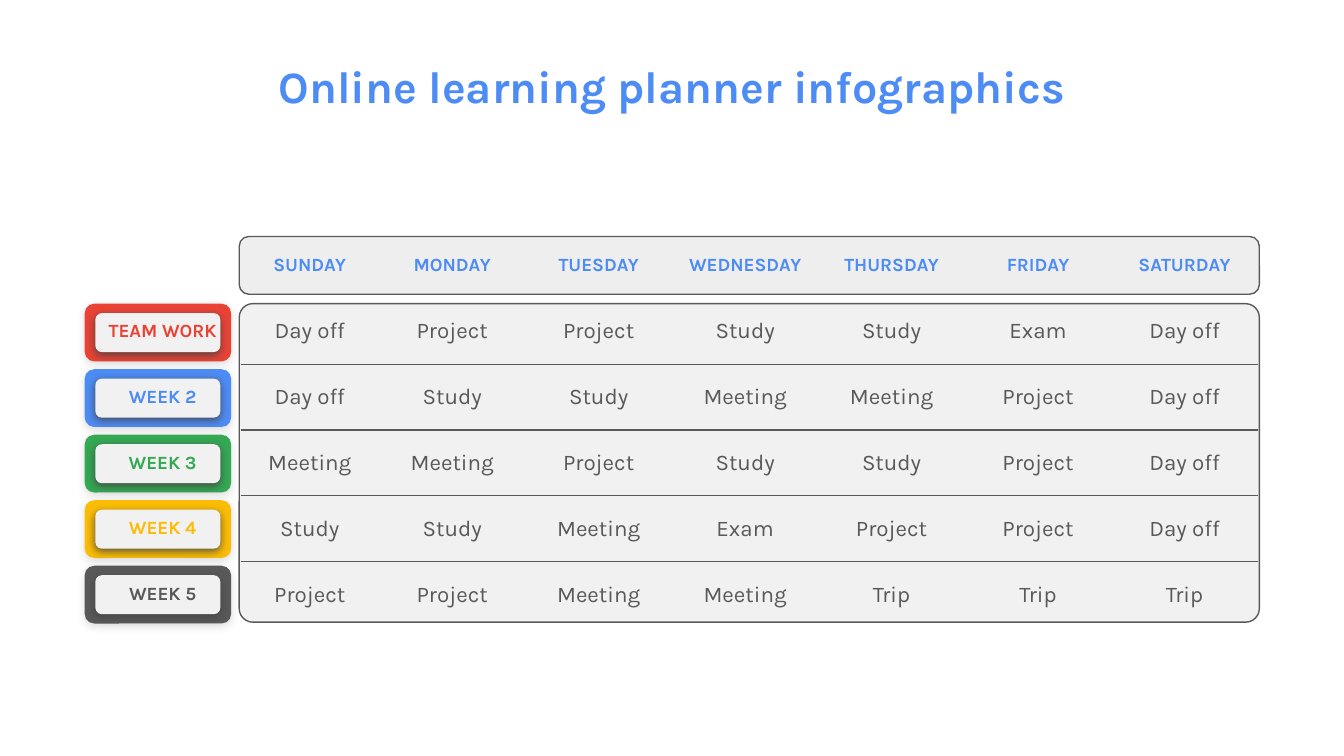
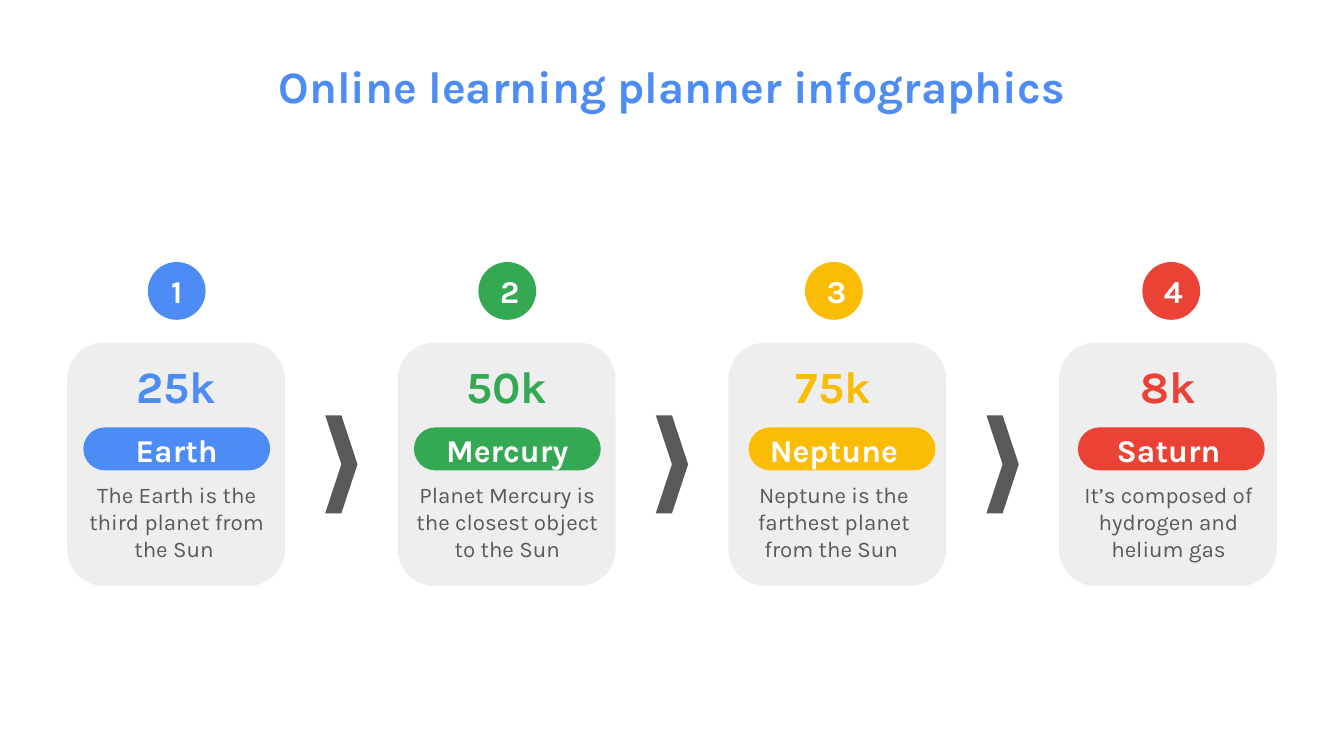
"""Build two online learning planner slides: a weekly timetable and a four-step planet row."""
from lxml.etree import SubElement
from pptx import Presentation
from pptx.dml.color import RGBColor
from pptx.enum.shapes import MSO_SHAPE
from pptx.enum.text import MSO_ANCHOR, PP_ALIGN
from pptx.oxml import parse_xml
from pptx.oxml.ns import nsdecls, qn
from pptx.util import Inches, Pt

COLORS = {
    "blue": "4D8CF5",
    "green": "34A853",
    "yellow": "FBBC05",
    "red": "EA4335",
    "dark": "595959",
    "card": "EEEEEE",
    "panel": "F1F1F1",
    "white": "FFFFFF",
    "soft_shadow": "D9D9D9",
    "deep_shadow": "434343",
}
FONT = "Karla"
TITLE = "Online learning planner infographics"


def add_block(page, kind, left, top, width, height, fill, corner=None, line=None, shadow=None):
    block = page.shapes.add_shape(kind, Inches(left), Inches(top), Inches(width), Inches(height))
    block.shadow.inherit = False
    block.fill.solid()
    block.fill.fore_color.rgb = RGBColor.from_string(COLORS[fill])
    if corner is not None:
        block.adjustments[0] = corner
    if line:
        block.line.color.rgb = RGBColor.from_string(COLORS[line])
        block.line.width = Pt(0.75)
    else:
        block.line.fill.background()
    if shadow:
        effects = block._element.spPr.find(qn("a:effectLst"))
        effects.append(parse_xml(
            f'<a:outerShdw {nsdecls("a")} blurRad="{Pt(4.5)}" dist="{Pt(1.5)}" dir="5400000" '
            f'algn="bl" rotWithShape="0"><a:srgbClr val="{COLORS[shadow]}">'
            '<a:alpha val="83000"/></a:srgbClr></a:outerShdw>'))
    return block


def write_text(frame, area, text, size, color, bold=True, anchor=MSO_ANCHOR.MIDDLE):
    area.margin_left = area.margin_right = Inches(0.1)
    area.margin_top = area.margin_bottom = Inches(0.1)
    area.vertical_anchor = anchor
    frame.word_wrap = True
    frame.text = text
    paragraph = frame.paragraphs[0]
    paragraph.alignment = PP_ALIGN.CENTER
    for span in paragraph.runs:
        span.font.name = FONT
        span.font.size = Pt(size)
        span.font.bold = bold
        span.font.color.rgb = RGBColor.from_string(COLORS[color])


deck = Presentation()
deck.slide_width = Inches(10)
deck.slide_height = deck.slide_width * 9 // 16
pages = [deck.slides.add_slide(deck.slide_layouts[6]) for _ in range(2)]
for page in pages:
    box = page.shapes.add_textbox(Inches(0.2), Inches(0.34), Inches(9.6), Inches(0.63))
    write_text(box.text_frame, box.text_frame, TITLE, 24, "blue", anchor=MSO_ANCHOR.TOP)

planner, steps = pages

add_block(planner, MSO_SHAPE.ROUNDED_RECTANGLE, 1.78, 1.76, 7.59, 0.43, "card", 0.167, "dark")
add_block(planner, MSO_SHAPE.ROUNDED_RECTANGLE, 1.78, 2.26, 7.59, 2.37, "panel", 0.043, "dark")

week_colors = ["red", "blue", "green", "yellow", "dark"]
week_step = 1.95 / 4
for index, color in enumerate(week_colors):
    top = 2.26 + index * week_step
    add_block(planner, MSO_SHAPE.ROUNDED_RECTANGLE, 0.63, top, 1.09, 0.43, color, 0.167,
              shadow="soft_shadow")
    add_block(planner, MSO_SHAPE.ROUNDED_RECTANGLE, 0.71, top + 0.07, 0.93, 0.29, "panel", 0.167,
              shadow="deep_shadow")

schedule = [
    ["", "SUNDAY", "MONDAY", "TUESDAY", "WEDNESDAY", "THURSDAY", "FRIDAY", "SATURDAY"],
    ["TEAM WORK", "Day off", "Project", "Project", "Study", "Study", "Exam", "Day off"],
    ["WEEK 2", "Day off", "Study", "Study", "Meeting", "Meeting", "Project", "Day off"],
    ["WEEK 3", "Meeting", "Meeting", "Project", "Study", "Study", "Project", "Day off"],
    ["WEEK 4", "Study", "Study", "Meeting", "Exam", "Project", "Project", "Day off"],
    ["WEEK 5", "Project", "Project", "Meeting", "Meeting", "Trip", "Trip", "Trip"],
]
column_widths = [1.16, 1.03] + [1.09] * 6
row_height = 0.49
table = planner.shapes.add_table(
    len(schedule), len(column_widths), Inches(0.63), Inches(1.73),
    Inches(sum(column_widths)), Inches(row_height * len(schedule))).table
table.first_row = table.horz_banding = False
for column, width in zip(table.columns, column_widths):
    column.width = Inches(width)
for row in table.rows:
    row.height = Inches(row_height)

last_row = len(schedule) - 1
for row_index, entries in enumerate(schedule):
    for column_index, entry in enumerate(entries):
        cell = table.cell(row_index, column_index)
        ruled = {
            "lnT": column_index > 0 and row_index > 1,
            "lnB": column_index > 0 and 0 < row_index < last_row,
        }
        properties = cell._tc.get_or_add_tcPr()
        for side in ("lnL", "lnR", "lnT", "lnB"):
            border = SubElement(properties, qn(f"a:{side}"), w=str(Pt(0.75)))
            if ruled.get(side):
                fill = SubElement(border, qn("a:solidFill"))
                SubElement(fill, qn("a:srgbClr"), val=COLORS["dark"])
            else:
                SubElement(border, qn("a:noFill"))
        cell.fill.background()
        if not entry:
            continue
        if row_index == 0:
            write_text(cell.text_frame, cell, entry, 10, "blue")
        elif column_index == 0:
            write_text(cell.text_frame, cell, entry, 10, week_colors[row_index - 1])
        else:
            write_text(cell.text_frame, cell, entry, 12, "dark", bold=False)

planets = [
    ("Earth", "25k", "The Earth is the third planet from the Sun ", "blue", 0, 0.62, 1.1),
    ("Mercury", "50k", "Planet Mercury is the closest object to the Sun", "green", 0, 3.08, 3.56),
    ("Neptune", "75k", "Neptune is the farthest planet from the Sun ", "yellow", -0.03, 5.57, 5.99),
    ("Saturn", "8k", "It’s composed of hydrogen and helium gas", "red", 0, 8.02, 8.5),
]
for index, (name, value, fact, color, shift, pill_left, badge_left) in enumerate(planets):
    card_left = 0.5 + 2.46 * index
    text_left = card_left + shift
    add_block(steps, MSO_SHAPE.ROUNDED_RECTANGLE, card_left, 2.55, 1.62, 1.81, "card", 0.167)
    add_block(steps, MSO_SHAPE.ROUNDED_RECTANGLE, pill_left, 3.18, 1.39, 0.32, color, 0.5)
    labels = [
        (value, text_left + 0.34, 2.71, 0.94, 0.32, 24, color, True),
        (name, text_left, 3.11, 1.63, 0.47, 17, "white", True),
        (fact, text_left, 3.59, 1.63, 0.58, 12, "dark", False),
    ]
    for text, left, top, width, height, size, text_color, bold in labels:
        box = steps.shapes.add_textbox(Inches(left), Inches(top), Inches(width), Inches(height))
        write_text(box.text_frame, box.text_frame, text, size, text_color, bold)
    badge = add_block(steps, MSO_SHAPE.OVAL, badge_left, 1.95, 0.43, 0.43, color)
    write_text(badge.text_frame, badge.text_frame, str(index + 1), 17, "white")
    if index < len(planets) - 1:
        add_block(steps, MSO_SHAPE.CHEVRON, card_left + 1.92, 3.09, 0.24, 0.73, "dark", 0.5)

deck.save("out.pptx")
